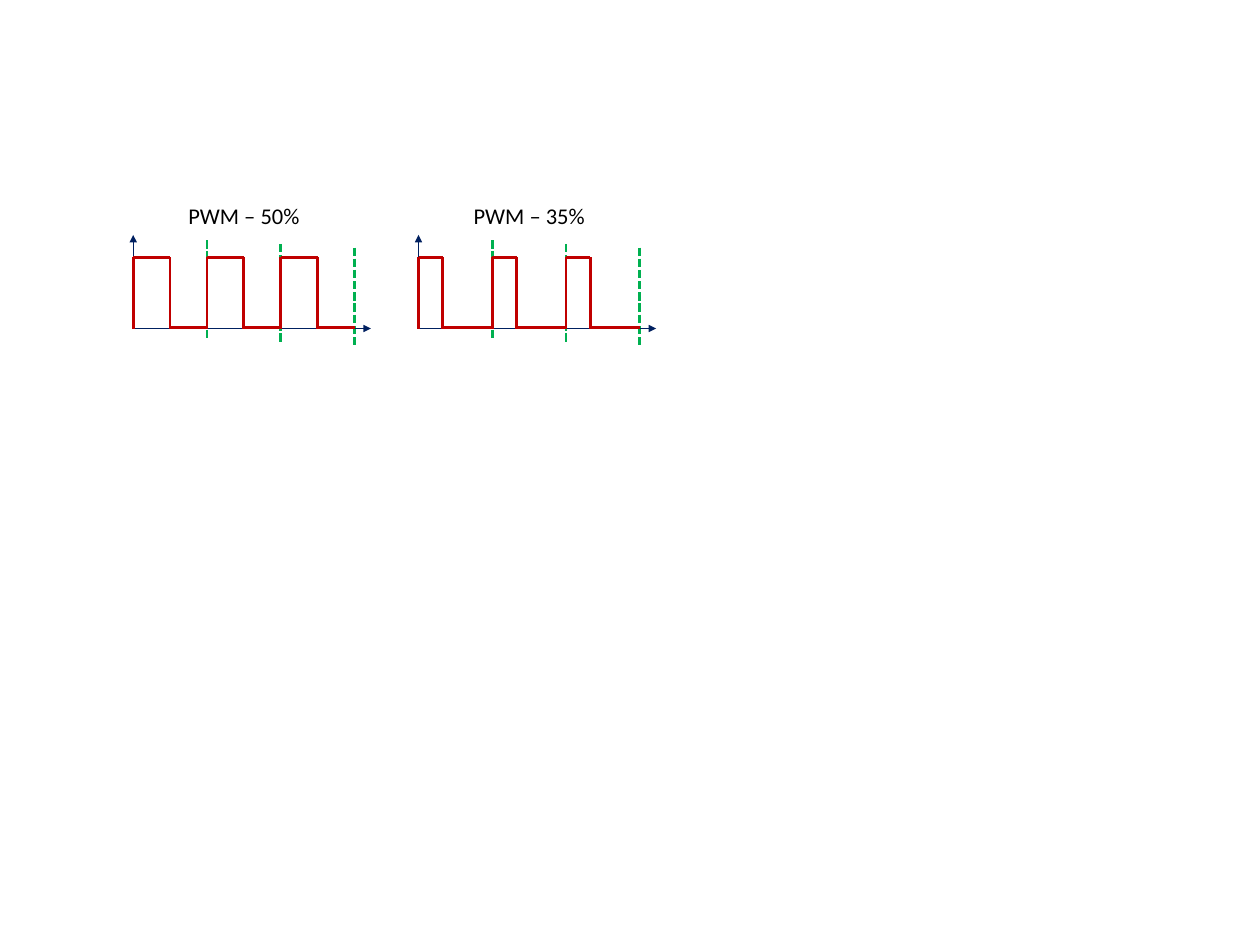
"""Build a slide comparing PWM signals with 50% and 35% duty cycles."""
import pptx
import pptx.dml.color
import pptx.enum.dml
import pptx.enum.shapes
import pptx.enum.text
import pptx.oxml
import pptx.oxml.ns
import pptx.util

Inches = pptx.util.Inches
Pt = pptx.util.Pt
qn = pptx.oxml.ns.qn

COLORS = {"axis": "002060", "signal": "C00000", "period": "00B050", "text": "000000"}
FONT = "Calibri"
PERIOD = 0.82
PERIODS = 3
BASE = 3.65
HIGH = 2.85


def rgb(name):
    return pptx.dml.color.RGBColor.from_string(COLORS[name])


def add_line(shapes, start, end, color, width=2.25, dashed=False, arrow=False):
    kind = pptx.enum.shapes.MSO_CONNECTOR.STRAIGHT
    cxn = shapes.add_connector(kind, *(Inches(v) for v in (*start, *end)))
    cxn.line.color.rgb = rgb(color)
    cxn.line.width = Pt(width)
    if dashed:
        cxn.line.dash_style = pptx.enum.dml.MSO_LINE.SQUARE_DOT
    sp_pr = cxn.element.spPr
    if arrow:
        tail = pptx.oxml.ns.nsdecls("a")
        ln = sp_pr.find(qn("a:ln"))
        ln.append(pptx.oxml.parse_xml(f'<a:tailEnd {tail} type="triangle"/>'))
    sp_pr.append(sp_pr.makeelement(qn("a:effectLst"), {}))


def add_title(s, text, left):
    box = s.shapes.add_textbox(Inches(left), Inches(2.2), Inches(2.48), Inches(0.4))
    tf = box.text_frame
    tf.word_wrap = True
    tf.auto_size = pptx.enum.text.MSO_AUTO_SIZE.SHAPE_TO_FIT_TEXT
    p = tf.paragraphs[0]
    p.alignment = pptx.enum.text.PP_ALIGN.CENTER
    r = p.add_run()
    r.text = text
    r.font.name = FONT
    r.font.size = Pt(18)
    r.font.color.rgb = rgb("text")


def add_period_marks(s, left):
    for i in range(PERIODS):
        x = left + (i + 1) * PERIOD
        top = 2.67 + i * 0.04
        add_line(s.shapes, (x, top), (x, top + 1.11), "period", dashed=True)


def add_axes(s, left):
    for end in ((left, 2.61), (left + 2.64, BASE)):
        add_line(s.shapes, (left, BASE), end, "axis", width=0.5, arrow=True)


def add_pulse(s, left, on_time):
    grp = s.shapes.add_group_shape()
    fall, end = left + on_time, left + PERIOD
    top, low = HIGH + 0.01, BASE - 0.01
    for start, stop in (
        ((left, BASE), (left, HIGH)),
        ((fall, top), (left, top)),
        ((fall, BASE), (fall, HIGH)),
        ((end, low), (fall, low)),
    ):
        add_line(grp.shapes, start, stop, "signal")


def add_plot(s, title, left, on_time):
    add_period_marks(s, left)
    add_axes(s, left)
    for i in range(PERIODS):
        add_pulse(s, left + i * PERIOD, on_time)
    add_title(s, title, left - 0.01)


def main():
    prs = pptx.Presentation()
    prs.slide_width = Inches(14)
    prs.slide_height = Inches(10.5)
    s = prs.slides.add_slide(prs.slide_layouts[6])
    add_plot(s, "PWM – 50%", 1.48, 0.41)
    add_plot(s, "PWM – 35%", 4.65, 0.27)
    prs.save("out.pptx")


if __name__ == "__main__":
    main()
